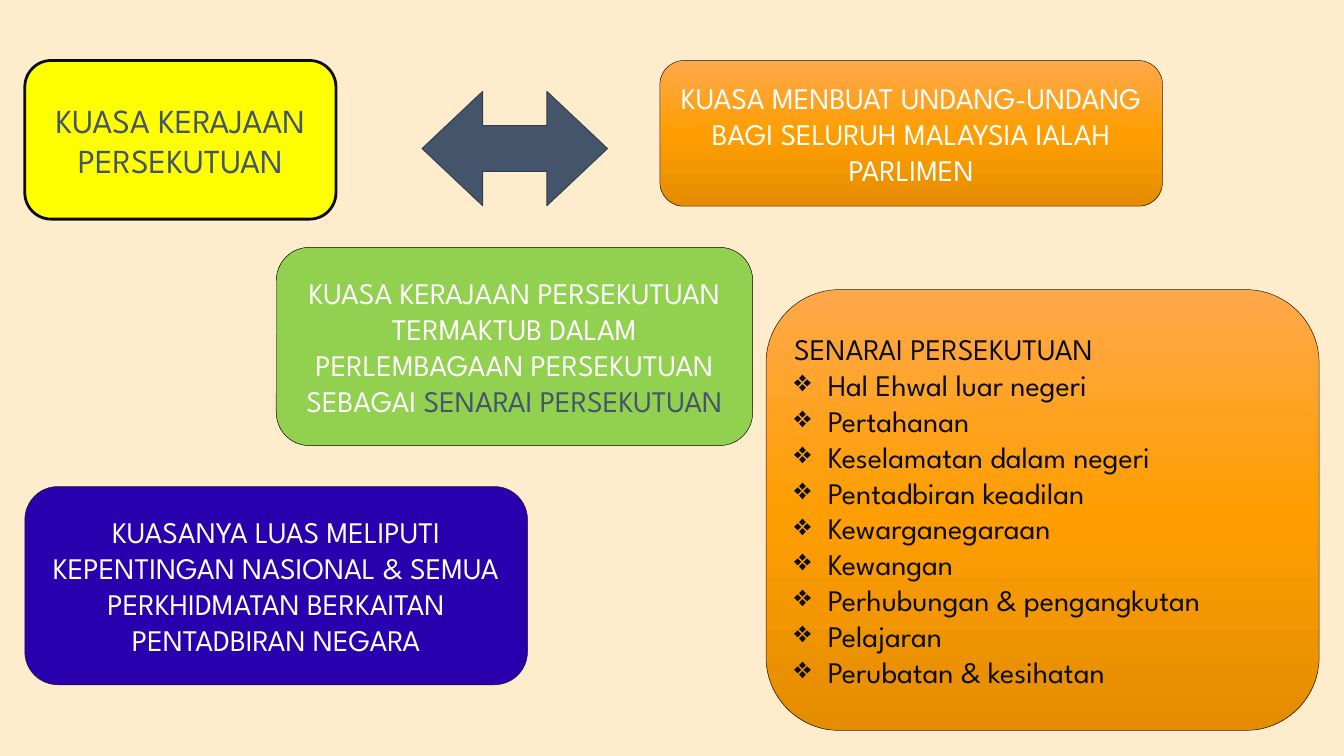
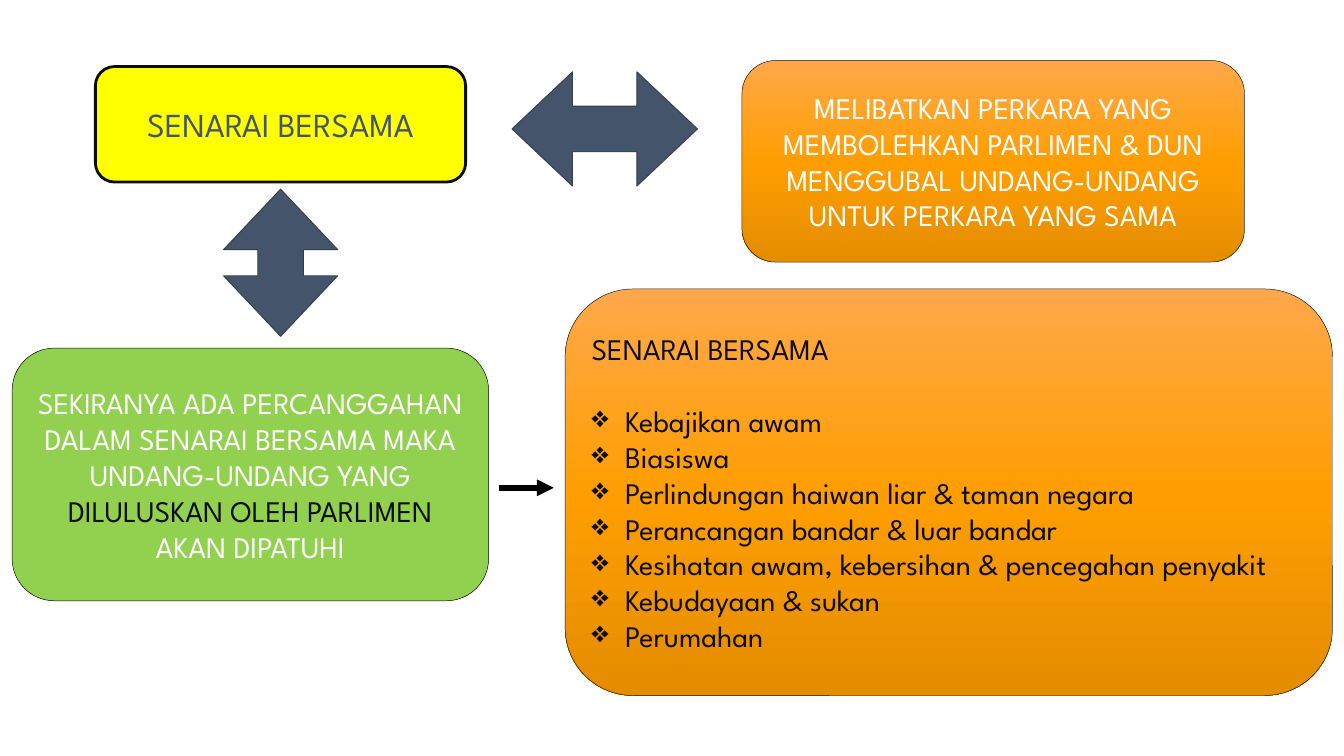
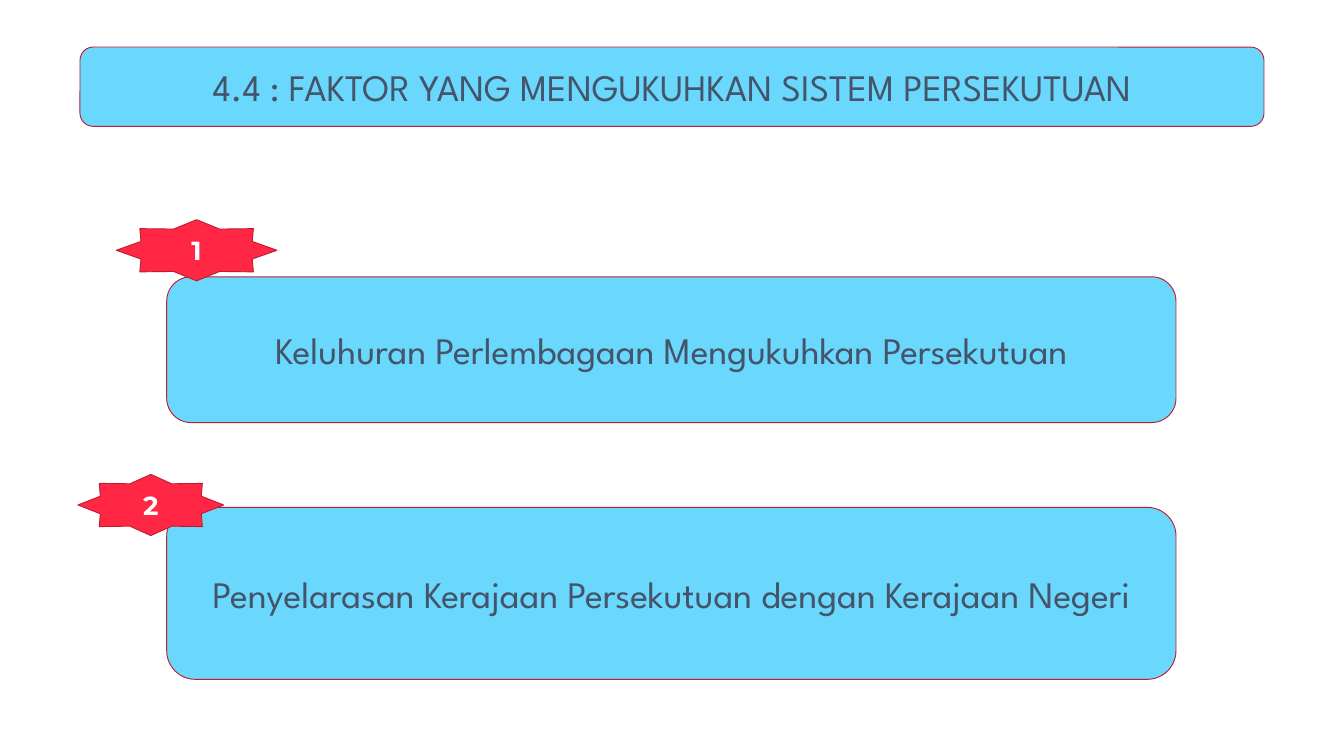
import copy
import dataclasses

import pptx
import pptx.dml.color
import pptx.enum.shapes
import pptx.enum.text
import pptx.oxml.ns
import pptx.util
from lxml import etree

Pt = pptx.util.Pt
Rgb = pptx.dml.color.RGBColor.from_string
qn = pptx.oxml.ns.qn
Kind = pptx.enum.shapes.MSO_SHAPE
Align = pptx.enum.text.PP_ALIGN
Anchor = pptx.enum.text.MSO_ANCHOR


# Colours, fonts and type sizes
@dataclasses.dataclass(frozen=True)
class Theme:
    cream: str = "FFECCC"
    white: str = "FFFFFF"
    black: str = "000000"
    ink: str = "0D0D0D"
    edge: str = "181717"
    slate: str = "44546A"
    dark: str = "323E4E"
    yellow: str = "FFFF00"
    green: str = "92D050"
    navy: str = "2800AD"
    sky: str = "6AD7FC"
    red: str = "FF2744"
    wine: str = "BD1D32"
    amber: tuple = ("FFA84B", "FF9E02", "E48D00")
    font: str = "League Spartan"
    digit: str = "Montserrat"
    star: int = 28
    body: int = 32
    title: int = 36
    head: int = 40


T = Theme()

# Box styles: fill, line colour, line width, text colour, text size
TITLE = (T.yellow, T.ink, 3, T.slate, T.title)
AMBER = (T.amber, T.edge, 0.5, T.white, T.body)
LIST = (T.amber, T.edge, 0.5, T.ink, T.body)
GREEN = (T.green, T.black, 0.5, T.white, T.body)
NAVY = (T.navy, T.edge, 0.5, T.white, T.body)
SKY = (T.sky, T.wine, 1, T.slate, T.head)
STAR = (T.red, T.wine, 1, T.white, T.star)
ARROW = (T.slate, T.dark, 1, T.white, T.body)


def put(item, values):
    for name, value in values.items():
        setattr(item, name, value)


def paint(shape, fill):
    """Fill with one colour, or with a top-down blend of three."""
    if isinstance(fill, str):
        shape.fill.solid()
        shape.fill.fore_color.rgb = Rgb(fill)
        return
    shape.fill.gradient()
    shape.fill.gradient_angle = 270
    stops = shape.element.spPr.find(qn("a:gradFill")).find(qn("a:gsLst"))
    stops.insert(1, copy.deepcopy(stops[0]))
    for i, stop in enumerate(shape.fill.gradient_stops):
        stop.position = i / 2
        stop.color.rgb = Rgb(fill[i])


def shape(slide, kind, area, style):
    item = slide.shapes.add_shape(kind, *map(Pt, area))
    item.shadow.inherit = False
    paint(item, style[0])
    item.line.color.rgb = Rgb(style[1])
    item.line.width = Pt(style[2])
    put(item.text_frame, {"word_wrap": True, "vertical_anchor": Anchor.MIDDLE})
    return item


def write(para, text, color, size, **more):
    run = para.add_run()
    run.text = text
    put(run.font, {"name": T.font, "size": Pt(size), **more})
    run.font.color.rgb = Rgb(color)


def box(slide, area, style, *parts, kind=Kind.ROUNDED_RECTANGLE, **more):
    """Centred text; a part is a string or a (string, colour) pair."""
    para = shape(slide, kind, area, style).text_frame.paragraphs[0]
    para.alignment = Align.CENTER
    for part in parts:
        text, color = (part, style[3]) if isinstance(part, str) else part
        write(para, text, color, style[4], **more)


def bullet(para):
    props = para._p.get_or_add_pPr()
    put_on = {"marL": Pt(36), "indent": -Pt(36)}
    for name, value in put_on.items():
        props.set(name, str(value))
    etree.SubElement(props, qn("a:buChar")).set("char", "❖")


def panel(slide, area, head, rows, gap=0):
    """Heading with a bulleted list below it."""
    frame = shape(slide, Kind.ROUNDED_RECTANGLE, area, LIST).text_frame
    first = frame.paragraphs[0]
    put(first, {"alignment": Align.LEFT, "space_after": Pt(gap)})
    write(first, head, *LIST[3:])
    for row in rows:
        para = frame.add_paragraph()
        para.alignment = Align.LEFT
        bullet(para)
        write(para, row, *LIST[3:])


def arrow(slide, left, top, width=198.7, turn=0):
    item = shape(slide, Kind.LEFT_RIGHT_ARROW, (left, top, width, 122.4), ARROW)
    item.adjustments[0], item.adjustments[1] = 0.4, 0.53
    item.rotation = turn


def link(slide, start, end, y):
    kind = pptx.enum.shapes.MSO_CONNECTOR.STRAIGHT
    item = slide.shapes.add_connector(kind, Pt(start), Pt(y), Pt(end), Pt(y))
    item.line.color.rgb = Rgb(T.black)
    item.line.width = Pt(6)
    props = item.element.spPr
    tail = etree.SubElement(props.find(qn("a:ln")), qn("a:tailEnd"))
    tail.set("type", "triangle")
    etree.SubElement(props, qn("a:effectLst"))


def page(deck, color):
    slide = deck.slides.add_slide(deck.slide_layouts[6])
    slide.background.fill.solid()
    slide.background.fill.fore_color.rgb = Rgb(color)
    return slide


# Slide 1: federal powers
def federal(deck):
    slide = page(deck, T.cream)
    box(slide, (26.6, 64.8, 333.4, 170), TITLE, "KUASA KERAJAAN PERSEKUTUAN")
    box(slide, (707, 64.8, 538.6, 156.2), AMBER,
        "KUASA MENBUAT UNDANG-UNDANG BAGI SELURUH MALAYSIA IALAH PARLIMEN")
    arrow(slide, 452.2, 98)
    box(slide, (296, 265, 510.5, 212.4), GREEN,
        "KUASA KERAJAAN PERSEKUTUAN TERMAKTUB DALAM PERLEMBAGAAN "
        "PERSEKUTUAN SEBAGAI ", ("SENARAI PERSEKUTUAN", T.slate))
    box(slide, (26.6, 521.3, 538.6, 212.4), NAVY,
        "KUASANYA LUAS MELIPUTI KEPENTINGAN NASIONAL & SEMUA "
        "PERKHIDMATAN BERKAITAN PENTADBIRAN NEGARA")
    panel(slide, (820.8, 310.3, 592.6, 472.3), "SENARAI PERSEKUTUAN", [
        "Hal Ehwal luar negeri", "Pertahanan", "Keselamatan dalam negeri",
        "Pentadbiran keadilan", "Kewarganegaraan", "Kewangan",
        "Perhubungan & pengangkutan", "Pelajaran", "Perubatan & kesihatan"])


# Slide 2: shared list
def shared(deck):
    slide = page(deck, T.white)
    box(slide, (102.2, 71.3, 396.7, 123.8), TITLE, "SENARAI BERSAMA")
    box(slide, (794.9, 64.8, 538.6, 216), AMBER,
        "MELIBATKAN PERKARA YANG MEMBOLEHKAN PARLIMEN & DUN "
        "MENGGUBAL UNDANG-UNDANG UNTUK PERKARA YANG SAMA")
    arrow(slide, 548.6, 77)
    box(slide, (13, 373, 510.5, 270.7), GREEN,
        "SEKIRANYA ADA PERCANGGAHAN DALAM SENARAI BERSAMA MAKA "
        "UNDANG-UNDANG YANG ", ("DILULUSKAN OLEH PARLIMEN", T.ink),
        " AKAN DIPATUHI")
    arrow(slide, 221.8, 220.3, 157.7, 90)
    panel(slide, (605.5, 309.6, 822.2, 435.6), "SENARAI BERSAMA", [
        "Kebajikan awam", "Biasiswa",
        "Perlindungan haiwan liar & taman negara",
        "Perancangan bandar & luar bandar",
        "Kesihatan awam, kebersihan & pencegahan penyakit",
        "Kebudayaan & sukan", "Perumahan"], gap=38.4)
    link(slide, 534.2, 593.3, 522.7)


# Slide 3: numbered factors
def factors(deck):
    slide = page(deck, T.white)
    box(slide, (85.7, 50.4, 1268.6, 85), SKY,
        "4.4 : FAKTOR YANG MENGUKUHKAN SISTEM PERSEKUTUAN")
    rows = [
        ("Keluhuran Perlembagaan Mengukuhkan Persekutuan",
         296.6, 156.2, (124.6, 235.4, 172.1, 65.5)),
        ("Penyelarasan Kerajaan Persekutuan dengan Kerajaan Negeri",
         543.6, 184.3, (83.5, 508.3, 156.2, 65.5)),
    ]
    for count, (text, top, height, badge) in enumerate(rows, 1):
        box(slide, (178.6, top, 1081.4, height), SKY, text)
        box(slide, badge, STAR, str(count), kind=Kind.STAR_8_POINT,
            name=T.digit, bold=True)


def main():
    deck = pptx.Presentation()
    put(deck, {"slide_width": Pt(1440), "slide_height": Pt(810)})
    for build in (federal, shared, factors):
        build(deck)
    deck.save("out.pptx")


if __name__ == "__main__":
    main()
